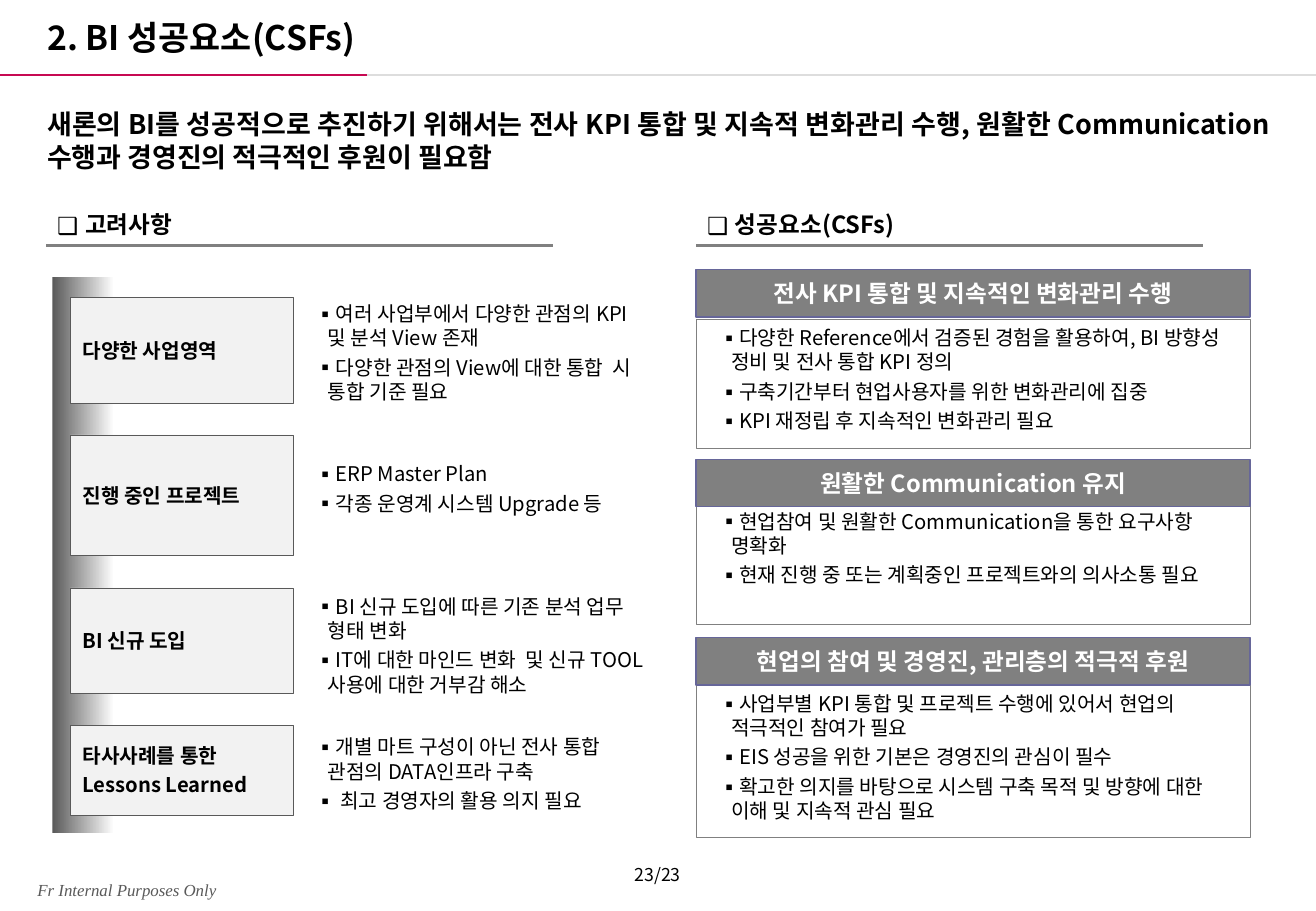
"""Build the BI critical success factors slide."""
from lxml.etree import SubElement
from pptx import Presentation
from pptx.dml.color import RGBColor
from pptx.enum.shapes import MSO_CONNECTOR, MSO_SHAPE
from pptx.enum.text import MSO_ANCHOR, PP_ALIGN
from pptx.oxml.ns import qn
from pptx.util import Pt

TITLE = "2. BI 성공요소(CSFs)"
MESSAGE = ("새론의 BI를 성공적으로 추진하기 위해서는 전사 KPI 통합 및 지속적 변화관리 수행, "
           "원활한 Communication 수행과 경영진의 적극적인 후원이 필요함")
FOOTER = "Fr Internal Purposes Only"
PAGE = "23/23"
HEADINGS = [(27.4, "고려사항"), (412.6, "성공요소(CSFs)")]

# label top, label height, notes top, notes height, label lines, notes
TOPICS = [
    (176.4, 62.6, 175, 65.5, ["다양한 사업영역"],
     ["여러 사업부에서 다양한 관점의 KPI 및 분석 View 존재",
      "다양한 관점의 View에 대한 통합  시 통합 기준 필요"]),
    (257.8, 71.3, 270, 40.3, ["진행 중인 프로젝트"],
     ["ERP Master Plan", "각종 운영계 시스템 Upgrade 등"]),
    (348.5, 62.6, 348.5, 65.5, ["BI 신규 도입"],
     ["BI 신규 도입에 따른 기존 분석 업무 형태 변화",
      "IT에 대한 마인드 변화  및 신규 TOOL 사용에 대한 거부감 해소"]),
    (429.8, 53.3, 432, 53.3, ["타사사례를 통한", "Lessons Learned"],
     ["개별 마트 구성이 아닌 전사 통합 관점의 DATA인프라 구축",
      " 최고 경영자의 활용 의지 필요"]),
]
# header top, body top, body height, header, points
FACTORS = [
    (159.8, 189.4, 76.3, "전사 KPI 통합 및 지속적인 변화관리 수행",
     ["다양한 Reference에서 검증된 경험을 활용하여, BI 방향성 정비 및 전사 통합 KPI 정의",
      "구축기간부터 현업사용자를 위한 변화관리에 집중",
      "KPI 재정립 후 지속적인 변화관리 필요"]),
    (272.2, 298.1, 72, "원활한 Communication 유지",
     ["현업참여 및 원활한 Communication을 통한 요구사항 명확화",
      "현재 진행 중 또는 계획중인 프로젝트와의 의사소통 필요"]),
    (378, 406.1, 90, "현업의 참여 및 경영진, 관리층의 적극적 후원",
     ["사업부별 KPI 통합 및 프로젝트 수행에 있어서 현업의 적극적인 참여가 필요",
      "EIS 성공을 위한 기본은 경영진의 관심이 필수",
      "확고한 의지를 바탕으로 시스템 구축 목적 및 방향에 대한 이해 및 지속적 관심 필요"]),
]
THEME = {
    "font": "Noto Sans CJK KR", "serif": "Times New Roman",
    "black": "000000", "white": "FFFFFF", "gray": "808080", "dark": "595959",
    "light": "F2F2F2", "edge": "666699", "accent": "C70952", "rule": "DDDDDD",
    "title": 20, "message": 16, "heading": 14, "body": 12, "page": 10.5, "footer": 10,
}


def rgb(name):
    return RGBColor.from_string(THEME[name])


def write(sp, lines, size="body", color="black", font="font", bold=False, italic=False,
          align=PP_ALIGN.LEFT, anchor=MSO_ANCHOR.TOP, before=0.2, after=0.05,
          bullet=None, left=0, hang=0, inset=(7.2, 3.6)):
    tf = sp.text_frame
    x, y = map(Pt, inset)
    frame = {"word_wrap": True, "vertical_anchor": anchor, "margin_left": x,
             "margin_right": x, "margin_top": y, "margin_bottom": y}
    for key, value in frame.items():
        setattr(tf, key, value)
    pts = THEME[size]
    for i, line in enumerate(lines):
        p = tf.add_paragraph() if i else tf.paragraphs[0]
        p.alignment = align
        p.space_before, p.space_after = Pt(pts * before), Pt(pts * after)
        pPr = p._p.get_or_add_pPr()
        pPr.set("marL", str(Pt(left)))
        pPr.set("indent", str(Pt(-hang)))
        if bullet:
            SubElement(pPr, qn("a:buFont"), typeface=THEME[font])
            SubElement(pPr, qn("a:buChar"), char=bullet)
        r = p.add_run()
        r.text = line
        style = {"name": THEME[font], "size": Pt(pts), "bold": bold, "italic": italic}
        for key, value in style.items():
            setattr(r.font, key, value)
        r.font.color.rgb = rgb(color)
        SubElement(r._r.get_or_add_rPr(), qn("a:ea"), typeface=THEME[font])


def add_text(s, box, lines, **style):
    write(s.shapes.add_textbox(*map(Pt, box)), lines, **style)


def add_box(s, box, fill, line, width, lines, **style):
    sp = s.shapes.add_shape(MSO_SHAPE.RECTANGLE, *map(Pt, box))
    sp.shadow.inherit = False
    sp.fill.solid()
    sp.fill.fore_color.rgb = rgb(fill)
    sp.line.color.rgb = rgb(line)
    sp.line.width = Pt(width)
    write(sp, lines, **style)


def add_rule(s, x1, x2, y, color):
    cx = s.shapes.add_connector(MSO_CONNECTOR.STRAIGHT, Pt(x1), Pt(y), Pt(x2), Pt(y))
    cx.line.color.rgb = rgb(color)
    cx.line.width = Pt(1.5)
    SubElement(cx._element.spPr, qn("a:effectLst"))


def add_spine(s):
    sp = s.shapes.add_shape(MSO_SHAPE.RECTANGLE, Pt(31), Pt(164.2), Pt(36.7), Pt(329.8))
    sp.shadow.inherit = False
    sp.line.fill.background()
    sp.fill.gradient()
    sp.fill.gradient_angle = 0
    for stop, position, color in zip(sp.fill.gradient_stops, (0, 1), ("dark", "white")):
        stop.position = position
        stop.color.rgb = rgb(color)


def main():
    prs = Presentation()
    prs.slide_width, prs.slide_height = Pt(780), Pt(540)
    s = prs.slides.add_slide(prs.slide_layouts[6])

    add_text(s, (15.1, 517.7, 193, 19.4), [FOOTER], size="footer", color="dark",
             font="serif", italic=True, before=0.05)
    add_rule(s, 0, 217.4, 44.6, "accent")
    add_rule(s, 217.4, 780, 44.6, "rule")
    add_text(s, (20.9, 5, 426.2, 32.4), [TITLE], size="title", bold=True,
             align=PP_ALIGN.JUSTIFY, anchor=MSO_ANCHOR.BOTTOM, before=0.5, after=0,
             left=27.4, hang=27.4)
    add_text(s, (20.9, 60.5, 738.7, 48.2), [MESSAGE], size="message", bold=True,
             align=PP_ALIGN.JUSTIFY, before=0.5, after=0)
    add_text(s, (333.4, 508.3, 113, 20.9), [PAGE], size="page",
             align=PP_ALIGN.CENTER, before=0.05)

    for top, body_top, height, header, points in FACTORS:
        add_box(s, (412.6, body_top, 328.3, height), "white", "gray", 0.25, points,
                bullet="▪", left=13.7, hang=7.2)
        add_box(s, (412.6, top, 328.3, 28.1), "gray", "edge", 0.75, [header],
                size="heading", color="white", bold=True, align=PP_ALIGN.CENTER,
                anchor=MSO_ANCHOR.MIDDLE, before=0.05)

    add_spine(s)
    for top, height, note_top, note_height, label, notes in TOPICS:
        add_box(s, (41.8, top, 131.8, height), "light", "dark", 0.25, label, bold=True,
                anchor=MSO_ANCHOR.MIDDLE, after=0, left=6.5, hang=6.5)
        add_text(s, (180, note_top, 209.5, note_height), notes,
                 bullet="▪", left=7.2, hang=7.2)

    for x, heading in HEADINGS:
        add_rule(s, x, x + 300.4, 145.4, "gray")
        add_text(s, (x + 6.5, 124.6, 202.3, 17.3), [heading], size="heading", bold=True,
                 before=0.5, bullet="❑", left=16.5, hang=16.5, inset=(0, 0))

    prs.save("out.pptx")


if __name__ == "__main__":
    main()
